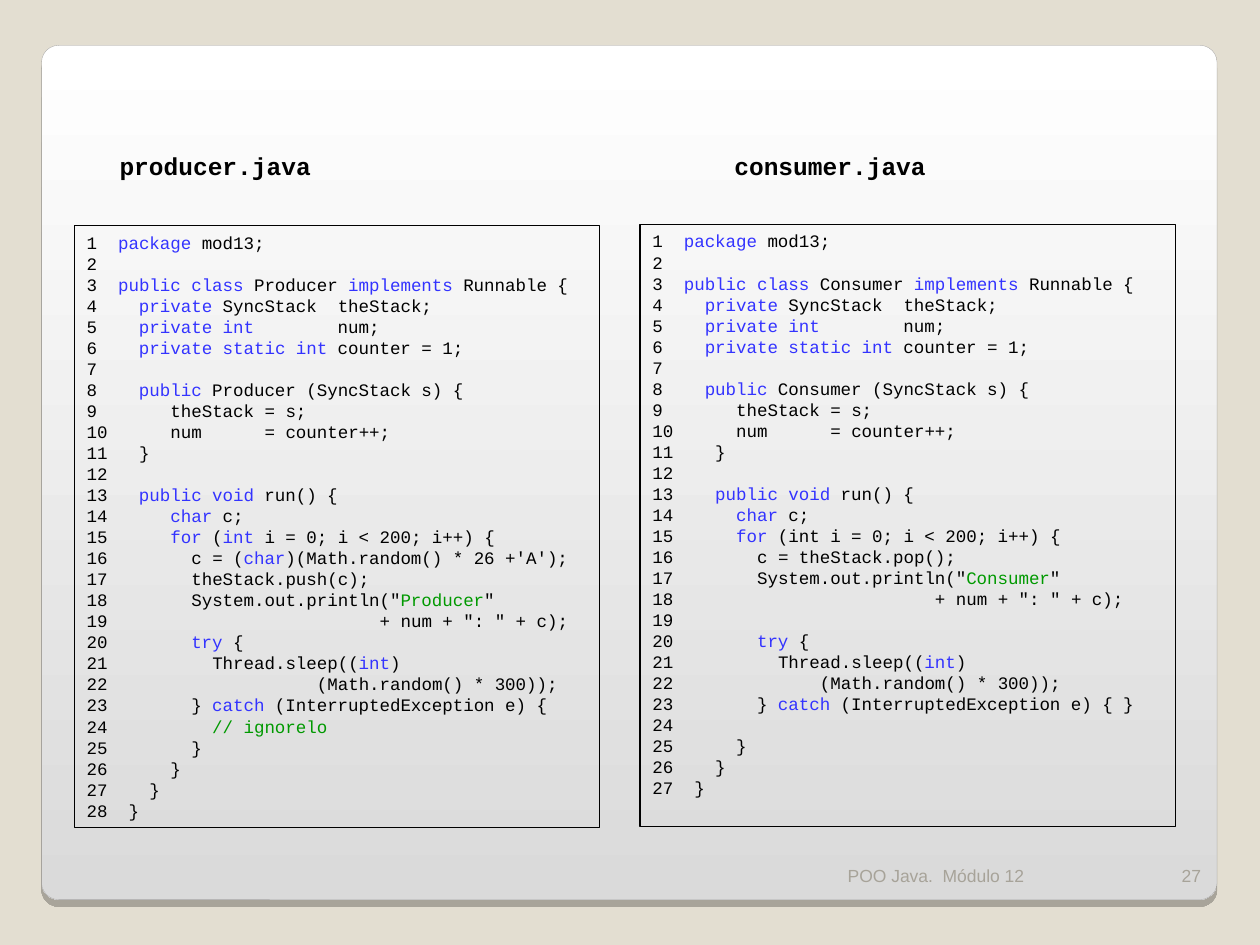
from lxml import etree
from pptx import Presentation
from pptx.dml.color import RGBColor
from pptx.enum.shapes import MSO_SHAPE
from pptx.enum.text import MSO_ANCHOR, PP_ALIGN
from pptx.oxml.ns import qn
from pptx.util import Inches, Pt

RECTANGLE, ROUNDED = MSO_SHAPE.RECTANGLE, MSO_SHAPE.ROUNDED_RECTANGLE
TOP, BOTTOM = MSO_ANCHOR.TOP, MSO_ANCHOR.BOTTOM
LEFT, RIGHT = PP_ALIGN.LEFT, PP_ALIGN.RIGHT

SAND = RGBColor(0xE3, 0xDE, 0xD1)
WHITE = RGBColor(0xFF, 0xFF, 0xFF)
SILVER = RGBColor(0xDA, 0xDA, 0xDA)
EDGE = RGBColor(0xA4, 0xA3, 0xA3)
FOOTER_GREY = RGBColor(0xA7, 0xA3, 0x99)
BLACK = RGBColor(0, 0, 0)
BLUE = RGBColor(0x33, 0x33, 0xFF)
GREEN = RGBColor(0, 0x99, 0)

CODE_FONT, FOOTER_FONT = "Courier New", "Arial"

# Bars enclose coloured code: blue keywords, or green after a tilde
PRODUCER = """\
|package |mod13;

|public class| Producer |implements| Runnable {
  |private| SyncStack  theStack;
  |private int|        num;
  |private static int| counter = 1;

  |public| Producer (SyncStack s) {
     theStack = s;
     num      = counter++;
  }

  |public void| run() {
     |char| c;
     |for| (|int| i = 0; i < 200; i++) {
       c = (|char|)(Math.random() * 26 +'A');
       theStack.push(c);
       System.out.println("|~Producer|"
                         + num + ": " + c);
       |try| {
         Thread.sleep((|int|)
                   (Math.random() * 300));
       } |catch| (InterruptedException e) {
         |~// ignorelo|
       }
     }
   }
 }"""

CONSUMER = """\
|package |mod13;

|public class| Consumer |implements| Runnable {
  |private| SyncStack  theStack;
  |private int|        num;
  |private static int| counter = 1;

  |public| Consumer (SyncStack s) {
     theStack = s;
     num      = counter++;
   }

   |public void| run() {
     |char| c;
     |for| (int i = 0; i < 200; i++) {
       c = theStack.pop();
       System.out.println("|~Consumer|"
                        + num + ": " + c);

       |try| {
         Thread.sleep((|int|)
             (Math.random() * 300));
       } |catch| (InterruptedException e) { }

     }
   }
 }"""


def add_span(para, text, font, size, color, bold=False):
    span = para.add_run()
    span.text = text
    span.font.name = font
    span.font.size = Pt(size)
    span.font.color.rgb = color
    span.font.bold = bold


def add_text_box(page, left, top, width, height, anchor=TOP):
    box = page.shapes.add_textbox(left, top, width, height)
    box.text_frame.word_wrap = True
    box.text_frame.vertical_anchor = anchor
    return box.text_frame.paragraphs[0]


def add_panel(page, left, top, width, height):
    panel = page.shapes.add_shape(ROUNDED, left, top, width, height)
    panel.adjustments[0] = 0.02
    panel.fill.gradient()
    panel.fill.gradient_angle = 270
    for stop, color in zip(panel.fill.gradient_stops, (WHITE, SILVER)):
        stop.color.rgb = color
    panel.line.color.rgb = EDGE
    panel.line.width = Pt(0.17)
    # Hard shadow straight below the panel
    panel.shadow.inherit = False
    effects = panel._element.spPr.find(qn("a:effectLst"))
    shadow = etree.SubElement(effects, qn("a:outerShdw"), blurRad="0",
                              dist=str(Pt(4)), dir="5400000", algn="t",
                              rotWithShape="0")
    tint = etree.SubElement(shadow, qn("a:srgbClr"), val=str(BLACK))
    etree.SubElement(tint, qn("a:alpha"), val="25000")


def add_heading(page, left, top, text):
    para = add_text_box(page, left, top, Inches(2.75), Inches(0.34))
    para._p.get_or_add_pPr().set("marL", str(Inches(0.42)))
    add_span(para, text, CODE_FONT, 14, BLACK, bold=True)


def add_listing(page, left, top, width, height, code):
    frame = page.shapes.add_shape(RECTANGLE, left, top, width, height)
    frame.shadow.inherit = False
    frame.fill.background()
    frame.line.color.rgb = BLACK
    frame.line.width = Pt(0.75)
    text = frame.text_frame
    text.word_wrap = True
    text.vertical_anchor = TOP
    for number, line in enumerate(code.splitlines(), 1):
        para = text.paragraphs[0] if number == 1 else text.add_paragraph()
        para.alignment = LEFT
        numbered = f"{number:<3}{line}".rstrip()
        for index, piece in enumerate(numbered.split("|")):
            if not piece:
                continue
            color = BLACK
            if index % 2:
                color = GREEN if piece.startswith("~") else BLUE
            add_span(para, piece.lstrip("~"), CODE_FONT, 10, color)


def add_footer(page, left, top, height):
    parts = ((0, 2.5, "POO Java.  Módulo 12", LEFT), (2.5, 0.5, "27", RIGHT))
    for offset, width, text, alignment in parts:
        para = add_text_box(page, left + Inches(offset), top, Inches(width),
                            height, BOTTOM)
        para.alignment = alignment
        add_span(para, text, FOOTER_FONT, 10, FOOTER_GREY)


def main():
    deck = Presentation()
    deck.slide_width, deck.slide_height = Inches(10), Inches(7.5)
    page = deck.slides.add_slide(deck.slide_layouts[6])
    page.background.fill.solid()
    page.background.fill.fore_color.rgb = SAND

    add_panel(page, Inches(0.33), Inches(0.36), Inches(9.33), Inches(6.78))
    add_footer(page, Inches(6.63), Inches(6.68), Inches(0.4))

    # Consumer on the right, producer on the left
    add_listing(page, Inches(5.08), Inches(1.78), Inches(4.25), Inches(4.78),
                CONSUMER)
    add_heading(page, Inches(5.31), Inches(1.15), "consumer.java")
    add_listing(page, Inches(0.59), Inches(1.79), Inches(4.17), Inches(4.78),
                PRODUCER)
    add_heading(page, Inches(0.43), Inches(1.15), "producer.java")

    deck.save("out.pptx")


if __name__ == "__main__":
    main()
